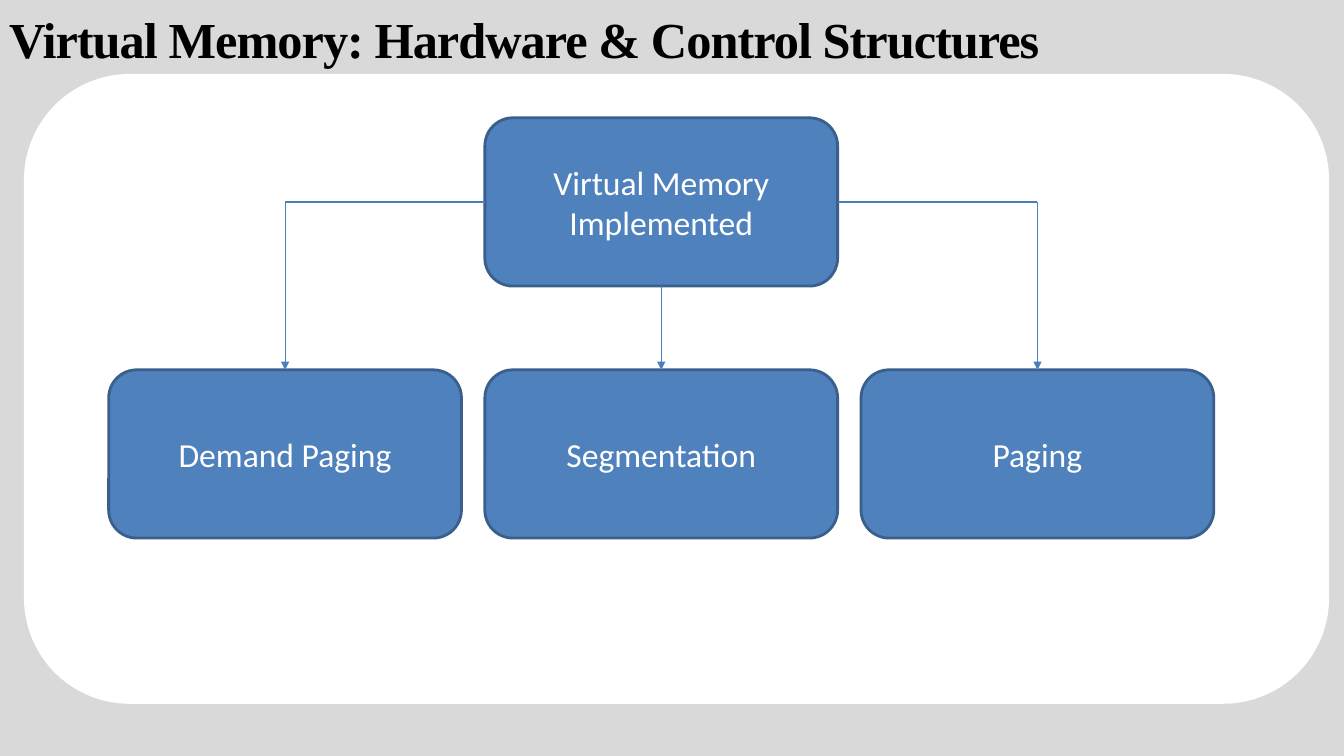
from dataclasses import dataclass

from lxml.etree import SubElement
from pptx import Presentation
from pptx.dml.color import RGBColor
from pptx.enum.shapes import MSO_CONNECTOR, MSO_SHAPE
from pptx.enum.text import MSO_ANCHOR, MSO_AUTO_SIZE, PP_ALIGN
from pptx.oxml.ns import qn
from pptx.util import Cm, Pt


@dataclass(frozen=True)
class Theme:
    background: RGBColor = RGBColor(0xD9, 0xD9, 0xD9)
    white: RGBColor = RGBColor(0xFF, 0xFF, 0xFF)
    black: RGBColor = RGBColor(0, 0, 0)
    box: RGBColor = RGBColor(0x4F, 0x81, 0xBD)
    box_line: RGBColor = RGBColor(0x3A, 0x5F, 0x8C)
    arrow: RGBColor = RGBColor(0x4B, 0x7E, 0xBC)
    title_font: str = "Times New Roman"
    body_font: str = "Calibri"
    title_size: Pt = Pt(36)
    body_size: Pt = Pt(24)
    outline: Pt = Pt(2)
    thin: Pt = Pt(0.75)


@dataclass(frozen=True)
class Box:
    """A rounded box, measured in centimetres."""
    x: float
    y: float
    text: str = ""
    w: float = 8.89
    h: float = 4.24

    @property
    def center_x(self) -> float:
        return self.x + self.w / 2

    @property
    def center_y(self) -> float:
        return self.y + self.h / 2


THEME = Theme()
COLUMN_LEFT, COLUMN_STEP, METHOD_TOP = 2.74, 9.48, 9.32
PANEL = Box(0.64, 1.9, w=32.82, h=15.8)
ROOT = Box(COLUMN_LEFT + COLUMN_STEP, 2.97, "Virtual Memory Implemented")
METHODS = [Box(COLUMN_LEFT + i * COLUMN_STEP, METHOD_TOP, text)
           for i, text in enumerate(("Demand Paging", "Segmentation", "Paging"))]


def add_run(p, text: str, font: str, size: Pt, color: RGBColor):
    r = p.add_run()
    r.text = text
    r.font.name, r.font.size = font, size
    r.font.color.rgb = color
    return r


def add_title(s, text: str) -> None:
    sp = s.shapes.title
    sp.left, sp.top, sp.width, sp.height = Cm(0.2), Cm(0.18), Cm(27.1), Cm(1.57)
    tf = sp.text_frame
    tf.margin_left = tf.margin_right = tf.margin_bottom = 0
    tf.margin_top = Cm(0.03)
    tf.vertical_anchor = MSO_ANCHOR.TOP
    tf.word_wrap = True
    tf.auto_size = MSO_AUTO_SIZE.SHAPE_TO_FIT_TEXT
    p = tf.paragraphs[0]
    p.alignment = PP_ALIGN.LEFT
    p.space_before = Pt(1)
    p._p.get_or_add_pPr().set("marL", str(Cm(0.03)))
    r = add_run(p, text, THEME.title_font, THEME.title_size, THEME.black)
    r.font.bold = True
    r._r.get_or_add_rPr().set("spc", "-70")


def add_box(s, box: Box, fill: RGBColor, line: RGBColor) -> None:
    sp = s.shapes.add_shape(MSO_SHAPE.ROUNDED_RECTANGLE,
                            Cm(box.x), Cm(box.y), Cm(box.w), Cm(box.h))
    sp.shadow.inherit = False
    sp.fill.solid()
    sp.fill.fore_color.rgb = fill
    sp.line.color.rgb = line
    sp.line.width = THEME.outline
    if box.text:
        tf = sp.text_frame
        tf.word_wrap = True
        tf.vertical_anchor = MSO_ANCHOR.MIDDLE
        p = tf.paragraphs[0]
        p.alignment = PP_ALIGN.CENTER
        add_run(p, box.text, THEME.body_font, THEME.body_size, THEME.white)


def add_line(s, x1: float, y1: float, x2: float, y2: float, arrow: bool = False) -> None:
    c = s.shapes.add_connector(MSO_CONNECTOR.STRAIGHT, Cm(x1), Cm(y1), Cm(x2), Cm(y2))
    c.line.color.rgb = THEME.arrow
    c.line.width = THEME.thin
    if arrow:
        SubElement(c.line._get_or_add_ln(), qn("a:tailEnd"), type="triangle")
    SubElement(c._element.spPr, qn("a:effectLst"))


def main() -> None:
    prs = Presentation()
    prs.slide_width, prs.slide_height = Cm(33.87), Cm(19.05)
    s = prs.slides.add_slide(prs.slide_layouts[5])
    s.background.fill.solid()
    s.background.fill.fore_color.rgb = THEME.background

    # Title and white panel
    add_title(s, "Virtual Memory: Hardware & Control Structures")
    add_box(s, PANEL, THEME.white, THEME.white)

    # Root box and the three methods
    for box in (ROOT, *METHODS):
        add_box(s, box, THEME.box, THEME.box_line)

    # Side branches leave the root at mid-height, the middle one from below
    left, middle, right = METHODS
    for method, edge in ((left, ROOT.x), (right, ROOT.x + ROOT.w)):
        add_line(s, edge, ROOT.center_y, method.center_x, ROOT.center_y)
        add_line(s, method.center_x, ROOT.center_y, method.center_x, method.y, arrow=True)
    add_line(s, ROOT.center_x, ROOT.y + ROOT.h, middle.center_x, middle.y, arrow=True)

    prs.save("out.pptx")


if __name__ == "__main__":
    main()
